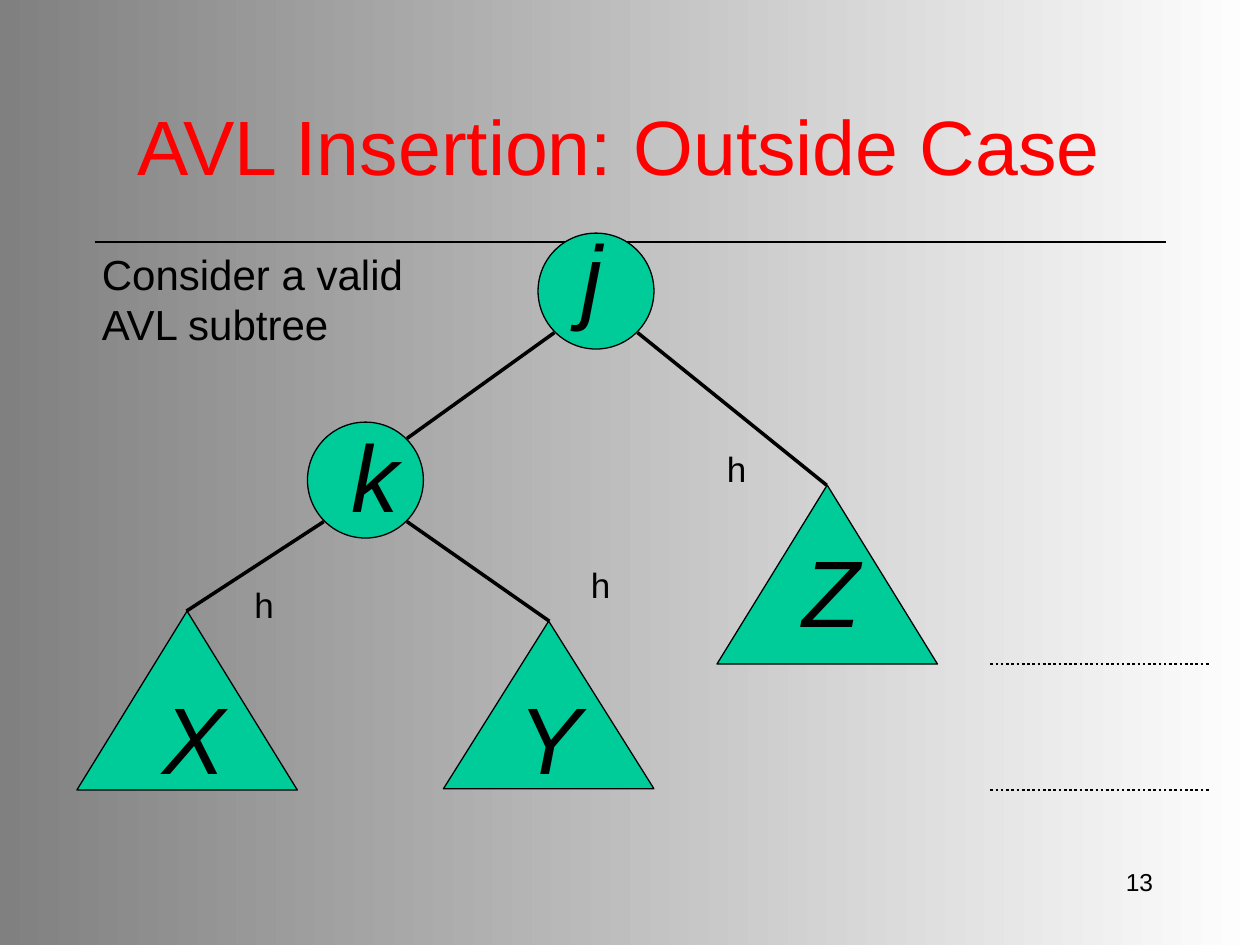
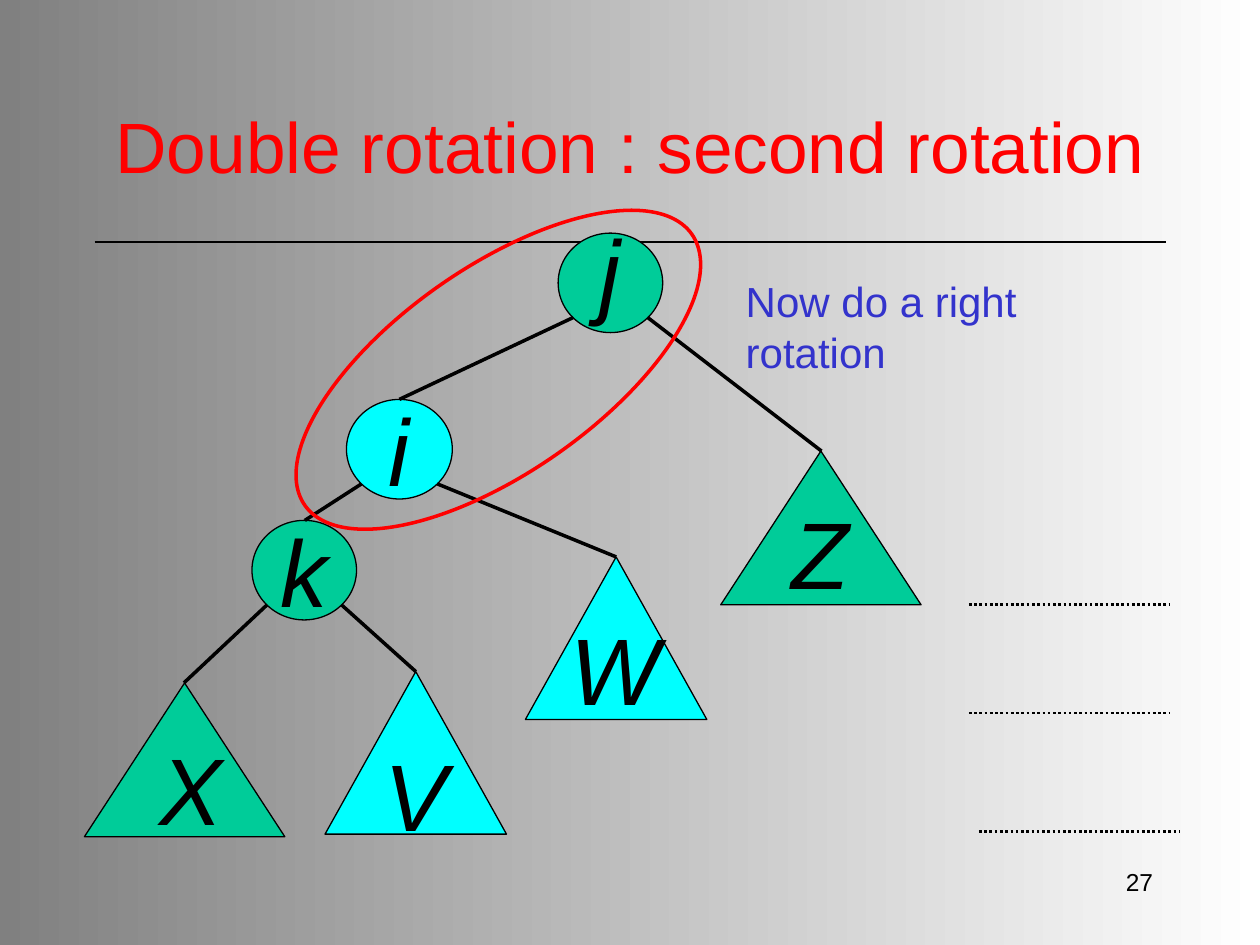
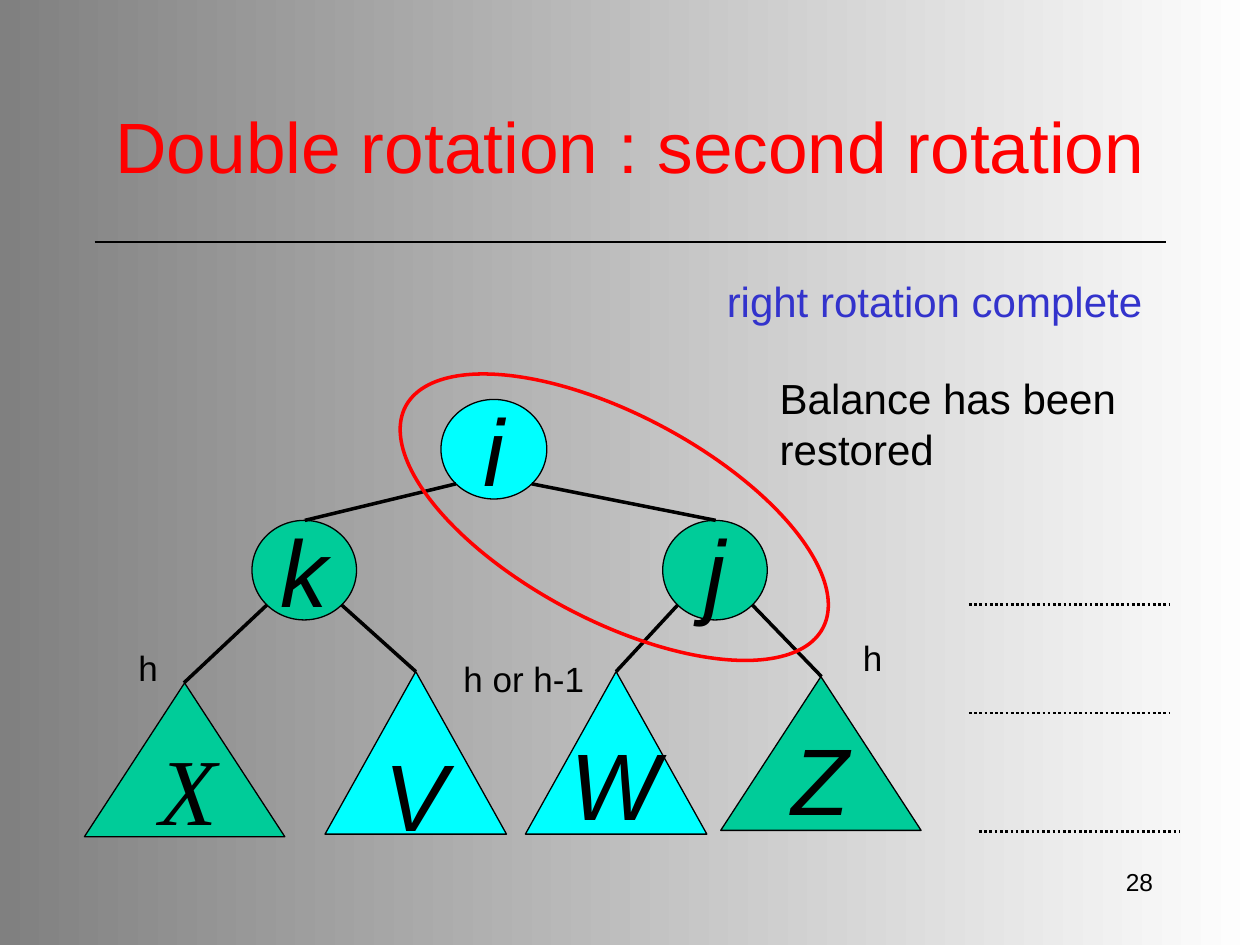
from dataclasses import dataclass
from math import sqrt
from typing import Any, Optional

from lxml.etree import SubElement
from pptx import Presentation
from pptx.dml.color import RGBColor
from pptx.enum.dml import MSO_LINE
from pptx.enum.shapes import MSO_CONNECTOR, MSO_SHAPE
from pptx.enum.text import MSO_ANCHOR as Anchor, MSO_AUTO_SIZE as AutoSize, PP_ALIGN as Align
from pptx.oxml.ns import qn
from pptx.util import Emu, Pt

PX = 9144  # one hundredth of an inch
TITLE_ONLY = 5
RULE_ID = "20"


@dataclass(frozen=True)
class Theme:
    font: str = "Arial"
    serif: str = "Times New Roman"
    black: str = "000000"
    red: str = "FF0000"
    blue: str = "3333CC"
    green: str = "00CC99"
    cyan: str = "00FFFF"
    gradient: tuple[str, str] = ("FFFFFF", "808080")
    node_size: float = 54
    note_size: float = 24
    height_size: float = 20
    number_size: float = 14
    outline: float = 0.75
    edge: float = 2
    level: float = 1.5


THEME = Theme()


@dataclass(frozen=True)
class Box:
    left: int
    top: int
    width: int
    height: int

    def emu(self) -> tuple[Emu, ...]:
        return tuple(Emu(value * PX) for value in (self.left, self.top, self.width, self.height))


TITLE_BOX = Box(73, 71, 854, 88)
NUMBER_BOX = Box(717, 683, 208, 50)


@dataclass(frozen=True)
class NodeKind:
    preset: MSO_SHAPE
    fill: str
    width: int
    height: int


ROOMY_CIRCLE = NodeKind(MSO_SHAPE.OVAL, THEME.green, 92, 92)
ROOMY_TREE = NodeKind(MSO_SHAPE.ISOSCELES_TRIANGLE, THEME.green, 175, 142)
ROOMY_SLIM_TREE = NodeKind(MSO_SHAPE.ISOSCELES_TRIANGLE, THEME.green, 167, 133)
CIRCLE = NodeKind(MSO_SHAPE.OVAL, THEME.green, 83, 79)
NEW_CIRCLE = NodeKind(MSO_SHAPE.OVAL, THEME.cyan, 84, 79)
TREE = NodeKind(MSO_SHAPE.ISOSCELES_TRIANGLE, THEME.green, 159, 122)
NEW_TREE = NodeKind(MSO_SHAPE.ISOSCELES_TRIANGLE, THEME.cyan, 144, 129)


@dataclass(frozen=True)
class Label:
    """A node's letter in a box of its own, over the node."""
    left: int
    top: int
    width: int = 51
    font: str = THEME.font


@dataclass(frozen=True)
class Node:
    name: str
    kind: NodeKind
    left: int
    top: int
    label: Optional[Label] = None

    @property
    def box(self) -> Box:
        return Box(self.left, self.top, self.kind.width, self.kind.height)

    @property
    def center_x(self) -> float:
        return self.left + self.kind.width / 2

    def diagonal(self, right: bool, lower: bool) -> tuple[int, int]:
        """The point of a circle at 45 degrees in the given quarter."""
        reach_x = self.kind.width / sqrt(8) * (1 if right else -1)
        reach_y = self.kind.height / sqrt(8) * (1 if lower else -1)
        return (round(self.center_x + reach_x),
                round(self.top + self.kind.height / 2 + reach_y))

    def apex(self) -> tuple[int, int]:
        return round(self.center_x), self.top


@dataclass(frozen=True)
class Edge:
    parent: str
    child: str
    to_side: bool = False


@dataclass(frozen=True)
class Level:
    left: int
    y: int
    length: int = 159


@dataclass(frozen=True)
class Ring:
    box: Box
    rotation: int


@dataclass(frozen=True)
class Note:
    box: Box
    lines: tuple[str, ...]
    size: float = THEME.note_size
    color: str = THEME.black
    anchor: Anchor = Anchor.TOP


@dataclass(frozen=True)
class TreeSlide:
    title: str
    title_size: float
    number: int
    nodes: tuple[Node, ...]
    edges: tuple[Edge, ...]
    levels: tuple[Level, ...]
    notes: tuple[Note, ...]
    ring: Optional[Ring] = None


def height_note(left: int, top: int, text: str = "h", width: int = 35) -> Note:
    return Note(Box(left, top, width, 44), (text,), THEME.height_size)


def set_all(target: Any, values: dict[str, Any]) -> None:
    for name, value in values.items():
        setattr(target, name, value)


def write(frame: Any, lines: tuple[str, ...], size: float, color: str = THEME.black,
          font: str = THEME.font, italic: bool = False, align: Align = Align.LEFT,
          **frame_format: Any) -> None:
    set_all(frame, frame_format)
    for index, line in enumerate(lines):
        paragraph = frame.add_paragraph() if index else frame.paragraphs[0]
        paragraph.text = line
        paragraph.alignment = align
        set_all(paragraph.font, {"name": font, "size": Pt(size), "italic": italic})
        paragraph.font.color.rgb = RGBColor.from_string(color)


def set_line(line: Any, width: float, color: str = THEME.black) -> None:
    line.color.rgb = RGBColor.from_string(color)
    line.width = Pt(width)


def add_line(slide: Any, start: tuple[int, int], end: tuple[int, int], width: float,
             dash: Optional[MSO_LINE] = None) -> Any:
    points = (Emu(value * PX) for value in (*start, *end))
    connector = slide.shapes.add_connector(MSO_CONNECTOR.STRAIGHT, *points)
    set_line(connector.line, width)
    if dash is not None:
        connector.line.dash_style = dash
    SubElement(connector.element.spPr, qn("a:effectLst"))
    return connector


def add_text(slide: Any, box: Box, lines: tuple[str, ...], size: float, **text_format: Any) -> None:
    write(slide.shapes.add_textbox(*box.emu()).text_frame, lines, size, **text_format)


def add_outline(slide: Any, preset: MSO_SHAPE, box: Box, fill: Optional[str],
                width: float, color: str = THEME.black) -> Any:
    shape = slide.shapes.add_shape(preset, *box.emu())
    shape.shadow.inherit = False
    if fill:
        shape.fill.solid()
        shape.fill.fore_color.rgb = RGBColor.from_string(fill)
    else:
        shape.fill.background()
    set_line(shape.line, width, color)
    return shape


def add_node(slide: Any, node: Node) -> None:
    shape = add_outline(slide, node.kind.preset, node.box, node.kind.fill, THEME.outline)
    label = node.label
    if label:
        add_text(slide, Box(label.left, label.top, label.width, 100), (node.name,),
                 THEME.node_size, font=label.font, italic=True, word_wrap=True,
                 auto_size=AutoSize.SHAPE_TO_FIT_TEXT)
    else:
        write(shape.text_frame, (node.name,), THEME.node_size, italic=True,
              align=Align.CENTER, word_wrap=False, vertical_anchor=Anchor.MIDDLE)


def add_edge(slide: Any, edge: Edge, nodes: dict[str, Node]) -> None:
    parent, child = nodes[edge.parent], nodes[edge.child]
    child_is_right = child.center_x > parent.center_x
    start = parent.diagonal(child_is_right, lower=True)
    end = child.diagonal(not child_is_right, lower=False) if edge.to_side else child.apex()
    add_line(slide, start, end, THEME.edge)


def add_tree_slide(presentation: Any, content: TreeSlide) -> Any:
    slide = presentation.slides.add_slide(presentation.slide_layouts[TITLE_ONLY])
    title = slide.shapes.title
    set_all(title, dict(zip(("left", "top", "width", "height"), TITLE_BOX.emu())))
    write(title.text_frame, (content.title,), content.title_size, THEME.red,
          align=Align.CENTER, vertical_anchor=Anchor.MIDDLE, word_wrap=True,
          auto_size=AutoSize.NONE)
    add_text(slide, NUMBER_BOX, (str(content.number),), THEME.number_size,
             align=Align.RIGHT, word_wrap=True)
    for node in content.nodes:
        add_node(slide, node)
    nodes = {node.name: node for node in content.nodes}
    for edge in content.edges:
        add_edge(slide, edge, nodes)
    for level in content.levels:
        add_line(slide, (level.left, level.y), (level.left + level.length, level.y),
                 THEME.level, MSO_LINE.ROUND_DOT)
    if content.ring:
        ring = add_outline(slide, MSO_SHAPE.OVAL, content.ring.box, None, THEME.edge, THEME.red)
        ring.rotation = content.ring.rotation
    for note in content.notes:
        add_text(slide, note.box, note.lines, note.size, color=note.color, word_wrap=False,
                 vertical_anchor=note.anchor, auto_size=AutoSize.SHAPE_TO_FIT_TEXT)
    return slide


def style_master(presentation: Any) -> None:
    fill = presentation.slide_master.background.fill
    fill.gradient()
    fill.gradient_angle = 180
    for stop, color in zip(fill.gradient_stops, THEME.gradient):
        stop.color.rgb = RGBColor.from_string(color)


def move_rule_to_master(presentation: Any, slide: Any) -> None:
    """Draw the line under the title and hand it to the master, which all slides show."""
    rule = add_line(slide, (75, 192), (925, 192), THEME.outline).element
    rule.nvCxnSpPr.cNvPr.set("id", RULE_ID)
    presentation.slide_master.shapes.element.append(rule)


ROTATION_TITLE = "Double rotation : second rotation"
ROTATION_TITLE_SIZE = 40.7
ROTATION_LEVELS = (Level(769, 480), Level(769, 566), Level(777, 660))
NODE_K = Node("k", CIRCLE, 200, 413)
NODE_V = Node("V", NEW_TREE, 258, 533)

SLIDES = (
    TreeSlide(
        "AVL Insertion: Outside Case ", 44, 13,
        nodes=(
            Node("j", ROOMY_CIRCLE, 427, 185, Label(452, 168, 56)),
            Node("k", ROOMY_CIRCLE, 244, 335, Label(269, 327, 56)),
            Node("X", ROOMY_TREE, 61, 485, Label(119, 535, 56)),
            Node("Y", ROOMY_SLIM_TREE, 352, 493, Label(402, 535, 56)),
            Node("Z", ROOMY_TREE, 569, 385, Label(627, 418, 56)),
        ),
        edges=(Edge("j", "k", to_side=True), Edge("k", "X"), Edge("k", "Y"), Edge("j", "Z")),
        levels=(Level(786, 527, 175), Level(786, 627, 175)),
        notes=(
            Note(Box(71, 192, 259, 90), ("Consider a valid", "AVL subtree")),
            height_note(567, 350), height_note(192, 458), height_note(459, 442),
        ),
    ),
    TreeSlide(
        ROTATION_TITLE, ROTATION_TITLE_SIZE, 27,
        nodes=(
            Node("j", CIRCLE, 443, 185, Label(466, 164)),
            NODE_K,
            Node("X", TREE, 67, 542, Label(117, 575)),
            NODE_V,
            Node("Z", TREE, 572, 358, Label(618, 388)),
            Node("W", NEW_TREE, 417, 442, Label(443, 480)),
            Node("i", NEW_CIRCLE, 275, 317),
        ),
        edges=(Edge("j", "i"), Edge("k", "X"), Edge("k", "V"),
               Edge("j", "Z"), Edge("i", "W"), Edge("i", "k")),
        levels=ROTATION_LEVELS,
        notes=(Note(Box(582, 214, 355, 50), ("Now do a right rotation",), color=THEME.blue),),
        ring=Ring(Box(208, 212, 375, 163), 325),
    ),
    TreeSlide(
        ROTATION_TITLE, ROTATION_TITLE_SIZE, 28,
        nodes=(
            Node("j", CIRCLE, 526, 413),
            NODE_K,
            Node("X", TREE, 67, 542, Label(117, 575, font=THEME.serif)),
            NODE_V,
            Node("Z", TREE, 572, 537, Label(618, 567)),
            Node("W", NEW_TREE, 417, 533, Label(443, 571)),
            Node("i", NEW_CIRCLE, 350, 317),
        ),
        edges=(Edge("k", "X"), Edge("k", "V"), Edge("j", "Z"),
               Edge("j", "W"), Edge("i", "k"), Edge("i", "j")),
        levels=ROTATION_LEVELS,
        notes=(
            Note(Box(567, 214, 350, 50), ("right rotation complete",), color=THEME.blue),
            Note(Box(609, 291, 296, 90), ("Balance has been", "restored"), anchor=Anchor.MIDDLE),
            height_note(675, 500), height_note(100, 508),
            height_note(358, 517, "h or h-1", 116),
        ),
        ring=Ring(Box(300, 329, 375, 163), 28),
    ),
)


def main() -> None:
    presentation = Presentation()
    set_all(presentation, {"slide_width": Emu(1000 * PX), "slide_height": Emu(750 * PX)})
    style_master(presentation)
    slides = [add_tree_slide(presentation, content) for content in SLIDES]
    move_rule_to_master(presentation, slides[0])
    presentation.save("out.pptx")


if __name__ == "__main__":
    main()
